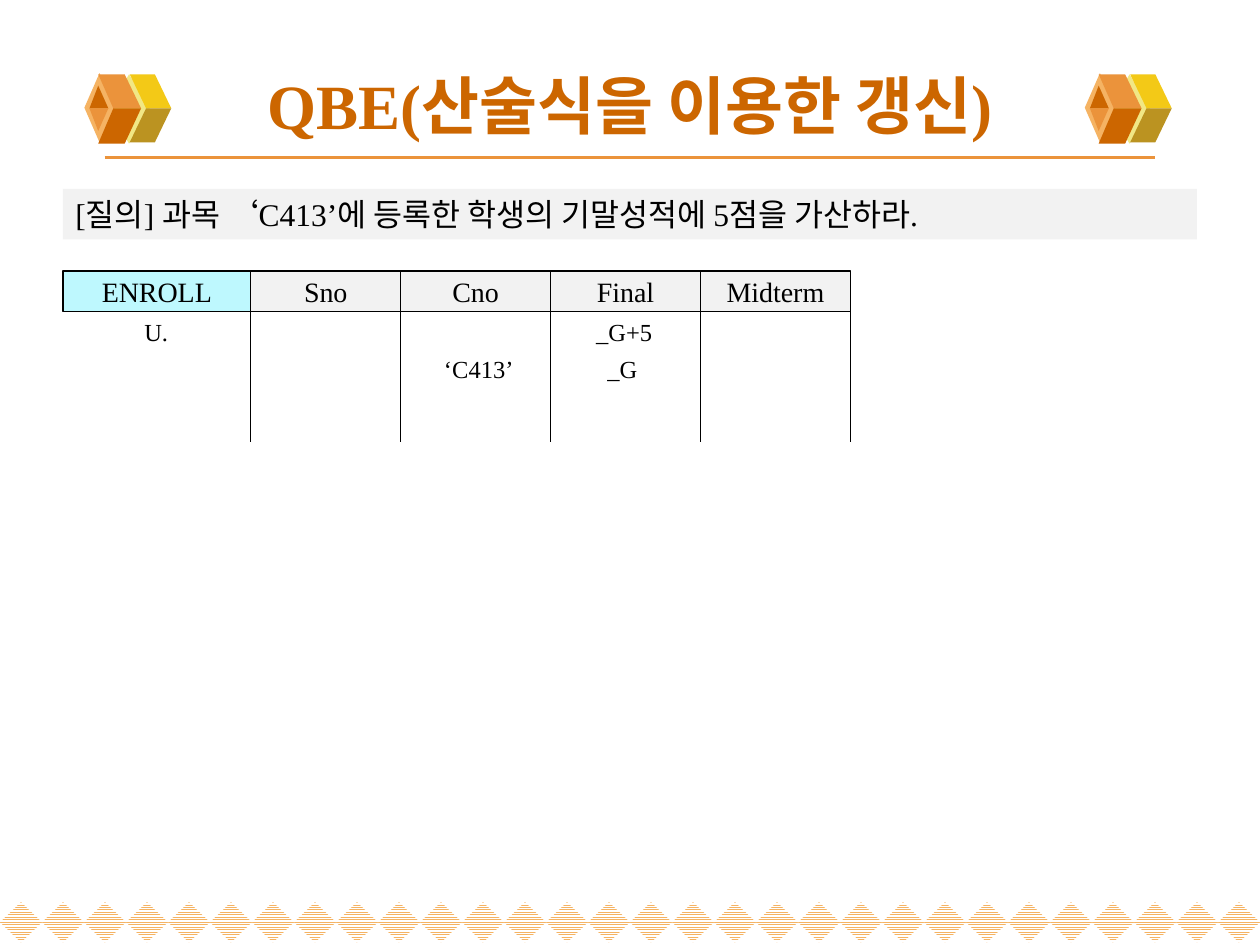
from lxml import etree
from pptx import Presentation
from pptx.dml.color import RGBColor
from pptx.enum import dml, shapes, text
from pptx.oxml.ns import qn
from pptx.util import Inches, Pt

FONT = "Times New Roman"
BLACK = "000000"
ORANGE = "EB933B"
DARK_ORANGE = "CC6600"
LIGHT_ORANGE = "F5B363"
GREY = "F2F2F2"

DIAMOND_COUNT = 30
EMBLEM_LEFTS = (0.67, 8.61)
EMBLEM_FACES = (
    ("F3C917", [(0.49, 0.86), (0.69, 0.86), (0.56, 0.59), (0.36, 0.59)]),
    ("BB9321", [(0.49, 0.86), (0.69, 0.86), (0.56, 1.13), (0.36, 1.13)]),
)
EMBLEM_FRONT = (
    (ORANGE, [(0.23, 0.86), (0.45, 0.86), (0.32, 0.59), (0.11, 0.59)]),
    (DARK_ORANGE, [(0.23, 0.86), (0.45, 0.86), (0.32, 1.14), (0.11, 1.14)]),
    (DARK_ORANGE, [(0.11, 0.68), (0.04, 0.86), (0.19, 0.86)]),
    (ORANGE, [(0.11, 1.04), (0.04, 0.86), (0.19, 0.86)]),
)

HEADER_TOP = 2.15
HEADER_HEIGHT = 0.32
HEADER_BOTTOM = HEADER_TOP + HEADER_HEIGHT
TABLE_LEFT = 0.5
NAME_WIDTH = 1.49
COLUMN_WIDTH = 1.19
COLUMNS = ("Sno", "Cno", "Final", "Midterm")
ENTRIES = (
    ("U.", 0.69, 2.47),
    ("_G", 4.39, 2.76),
    (" _G+5", 4.38, 2.47),
    ("‘C413’", 3.25, 2.76),
)


def color(value):
    return RGBColor.from_string(value)


def paint(shape, fill, line=None):
    shape.shadow.inherit = False
    shape.fill.solid()
    shape.fill.fore_color.rgb = color(fill)
    if line:
        shape.line.color.rgb = color(line)
        shape.line.width = Pt(0.75)
    else:
        shape.line.fill.background()


def write(shape, content, size, font_color=BLACK, bold=False, centered=True, middle=False):
    frame = shape.text_frame
    frame.text = content
    frame.word_wrap = True
    frame.vertical_anchor = text.MSO_ANCHOR.MIDDLE if middle else text.MSO_ANCHOR.TOP
    paragraph = frame.paragraphs[0]
    paragraph.alignment = text.PP_ALIGN.CENTER if centered else text.PP_ALIGN.LEFT
    font = paragraph.runs[0].font
    font.name = FONT
    font.size = Pt(size)
    font.bold = bold
    font.color.rgb = color(font_color)


def add_preset(slide, kind, left, top, width, height, fill, line=None):
    shape = slide.shapes.add_shape(
        kind, Inches(left), Inches(top), Inches(width), Inches(height))
    paint(shape, fill, line)
    return shape


def add_text(slide, content, left, top, width, height, size, **style):
    box = slide.shapes.add_textbox(
        Inches(left), Inches(top), Inches(width), Inches(height))
    write(box, content, size, **style)


def add_line(slide, x1, y1, x2, y2, line_color, width):
    connector = slide.shapes.add_connector(
        shapes.MSO_CONNECTOR.STRAIGHT, Inches(x1), Inches(y1), Inches(x2), Inches(y2))
    connector.line.color.rgb = color(line_color)
    connector.line.width = Pt(width)
    etree.SubElement(connector._element.spPr, qn("a:effectLst"))


def add_faces(slide, left, faces):
    for fill, corners in faces:
        points = [(Inches(left + x), Inches(y)) for x, y in corners]
        builder = slide.shapes.build_freeform(*points[0])
        builder.add_line_segments(points[1:], close=True)
        paint(builder.convert_to_shape(), fill)


def add_emblem(slide, left):
    diamond = shapes.MSO_SHAPE.DIAMOND
    add_preset(slide, diamond, left + 0.19, 0.59, 0.33, 0.55, "F1E785")
    add_faces(slide, left, EMBLEM_FACES)
    add_preset(slide, diamond, left, 0.58, 0.24, 0.55, LIGHT_ORANGE)
    add_faces(slide, left, EMBLEM_FRONT)


def add_diamond_border(slide):
    step = 10 / DIAMOND_COUNT
    for index in range(DIAMOND_COUNT):
        diamond = add_preset(slide, shapes.MSO_SHAPE.DIAMOND,
                             index * step, 7.16, step, 0.32, LIGHT_ORANGE)
        diamond.fill.patterned()
        diamond.fill.pattern = dml.MSO_PATTERN.NARROW_HORIZONTAL
        diamond.fill.fore_color.rgb = color(LIGHT_ORANGE)
        diamond.fill.back_color.rgb = color("FFFFFF")


def add_header_cell(slide, content, left, width, fill):
    cell = add_preset(slide, shapes.MSO_SHAPE.RECTANGLE,
                      left, HEADER_TOP, width, HEADER_HEIGHT, fill, BLACK)
    write(cell, content, 16, middle=True)


def add_query_table(slide):
    add_header_cell(slide, "ENROLL", TABLE_LEFT, NAME_WIDTH, "BEF8FE")
    edges = [TABLE_LEFT + NAME_WIDTH + index * COLUMN_WIDTH
             for index in range(len(COLUMNS) + 1)]
    for name, left in zip(COLUMNS, edges):
        add_header_cell(slide, name, left, COLUMN_WIDTH, GREY)
    for edge in edges:
        add_line(slide, edge, HEADER_BOTTOM, edge, 3.51, BLACK, 0.75)
    for content, left, top in ENTRIES:
        add_text(slide, content, left, top, 1.1, 0.34, 14)


def main():
    presentation = Presentation()
    presentation.slide_width = Inches(10)
    presentation.slide_height = Inches(7.5)
    slide = presentation.slides.add_slide(presentation.slide_layouts[6])

    add_diamond_border(slide)
    add_line(slide, 0.83, 1.25, 9.17, 1.25, ORANGE, 2.25)
    for left in EMBLEM_LEFTS:
        add_emblem(slide, left)

    add_text(slide, "QBE(산술식을 이용한 갱신)", 0.5, 0.4, 9, 0.85, 36,
             font_color=DARK_ORANGE, bold=True, middle=True)
    question = add_preset(slide, shapes.MSO_SHAPE.RECTANGLE, 0.5, 1.5, 9, 0.4, GREY)
    write(question, "[질의] 과목 ‘C413’에 등록한 학생의 기말성적에 5점을 가산하라.",
          18, centered=False)
    add_query_table(slide)

    presentation.save("out.pptx")


if __name__ == "__main__":
    main()
